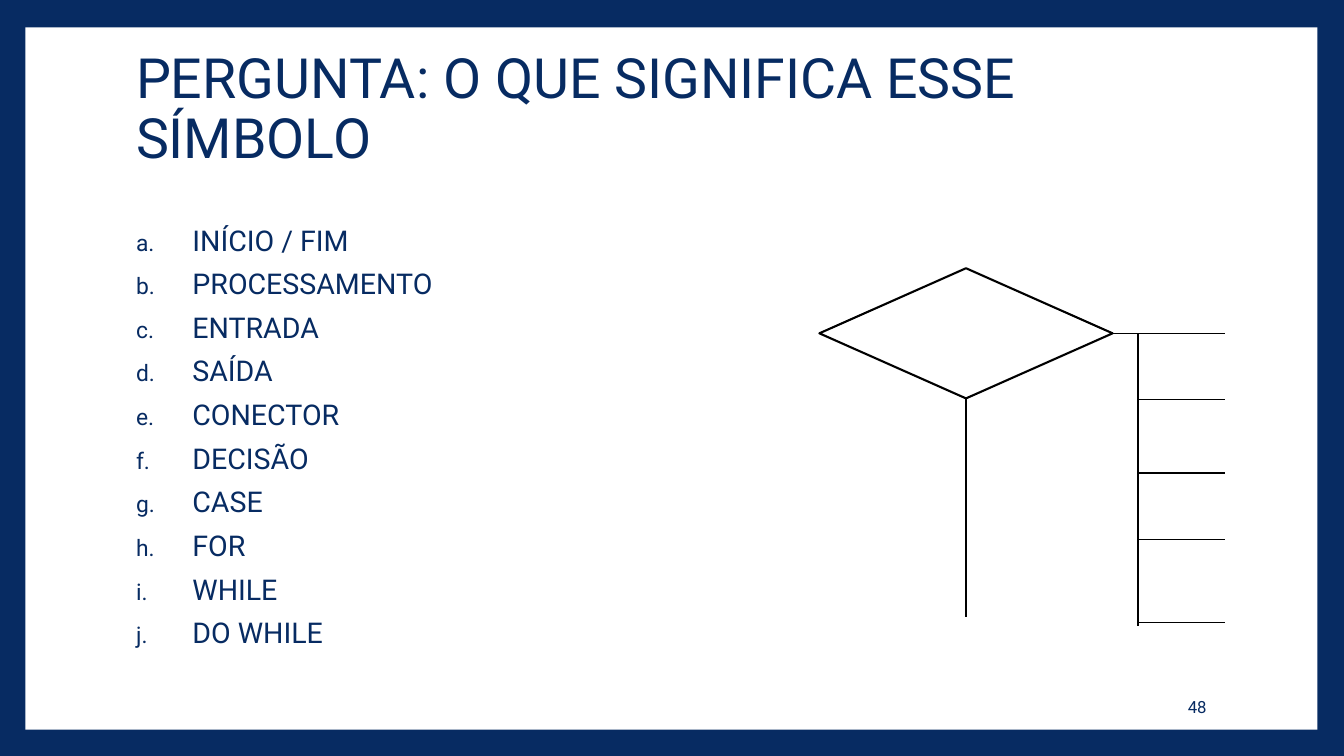
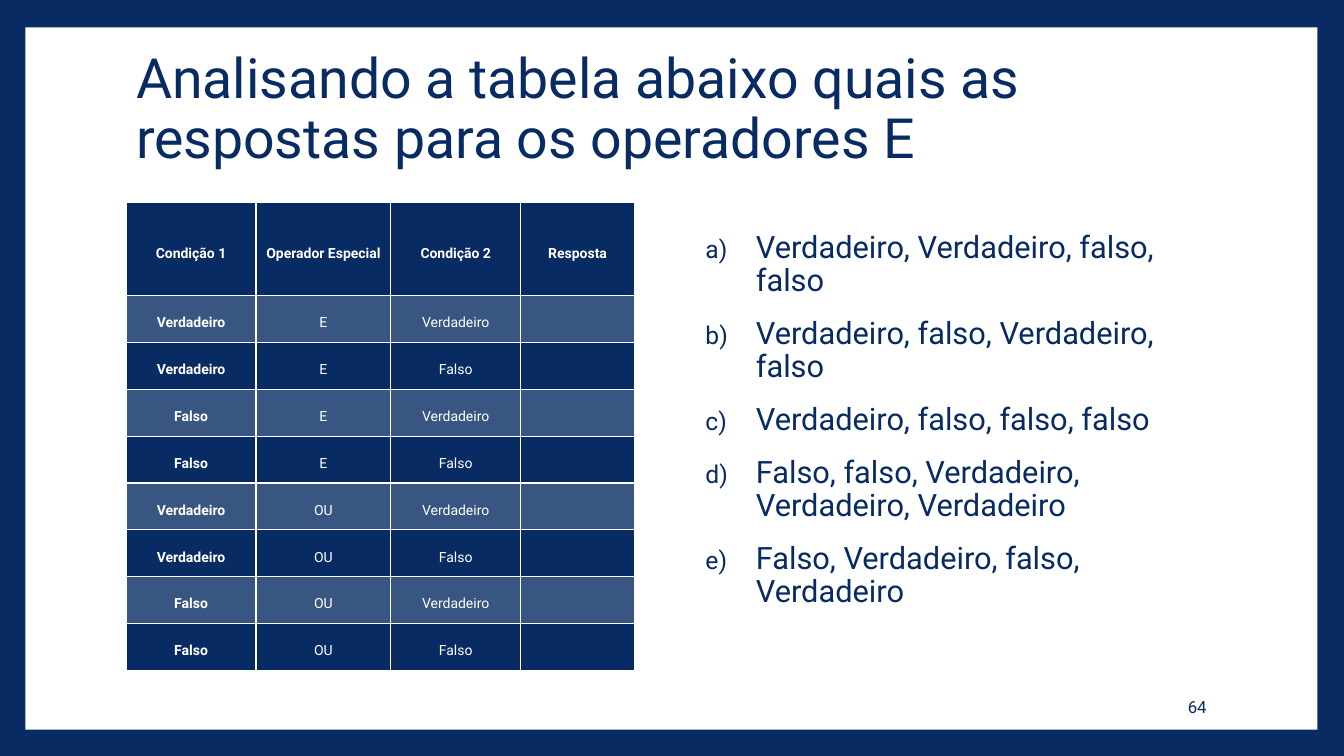
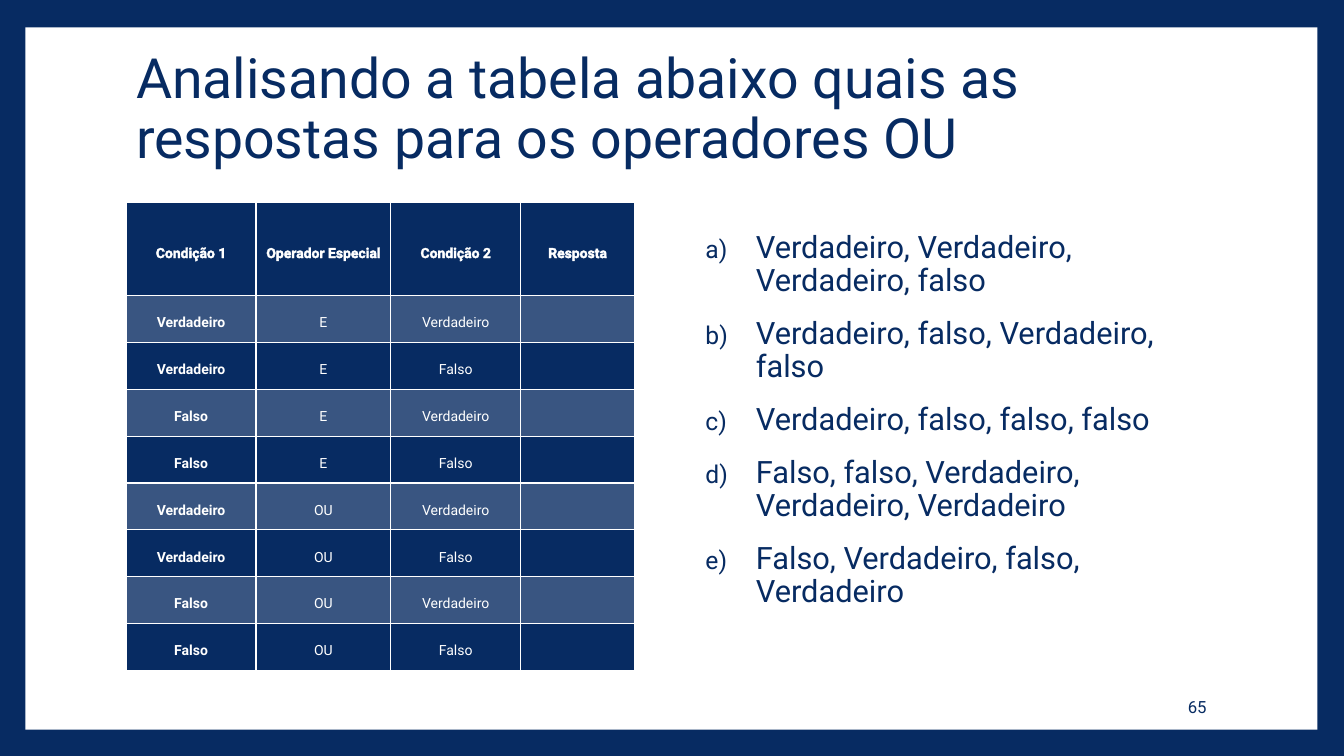
from collections import namedtuple

from lxml.etree import SubElement
from pptx import Presentation
from pptx.dml.color import RGBColor
from pptx.enum.shapes import MSO_CONNECTOR as Connector, MSO_SHAPE as Preset
from pptx.enum.text import MSO_ANCHOR as Anchor, PP_ALIGN as Align
from pptx.oxml import parse_xml
from pptx.oxml.ns import nsdecls, qn
from pptx.util import Cm, Pt

COLORS = {"navy": "072B62", "band": "395581", "white": "FFFFFF", "black": "000000"}
FONT = "Roboto"

# Boxes in centimetres
Box = namedtuple("Box", "left top width height")
PANEL = Box(0.64, 0.69, 32.56, 17.7)
TITLE = Box(3.18, 1.7, 27.43, 3.76)
LEFT_BODY = Box(3.18, 5.72, 13.21, 11.18)
RIGHT_BODY = Box(17.4, 5.72, 13.21, 11.18)
TABLE = Box(3.18, 5.11, 12.81, 11.78)
DIAGRAM = Box(20.65, 6.76, 10.23, 9.02)
PAGE_NUMBER = Box(25.91, 17.3, 4.75, 1.02)

SYMBOLS = ["INÍCIO / FIM", "PROCESSAMENTO", "ENTRADA", "SAÍDA", "CONECTOR",
           "DECISÃO", "CASE", "FOR", "WHILE", "DO WHILE"]
SYMBOL_LIST = {"numbering": "alphaLcPeriod", "size": 20.4, "spacing": 0.7,
               "indent": 1.42, "hang": 1.42}
ANSWER_LIST = {"numbering": "alphaLcParenR", "size": 22, "spacing": 0.9,
               "indent": 1.4, "hang": 1.27}
COMMON_ANSWERS = ["Verdadeiro, falso, Verdadeiro, falso",
                  "Verdadeiro, falso, falso, falso",
                  "Falso, falso, Verdadeiro, Verdadeiro, Verdadeiro",
                  "Falso, Verdadeiro, falso, Verdadeiro"]
HEADER = ["Condição 1", "Operador Especial", "Condição 2", "Resposta"]
CONDITIONS = [[first, operator, second, ""]
              for operator in ("E", "OU")
              for first in ("Verdadeiro", "Falso")
              for second in ("Verdadeiro", "Falso")]
COLUMN_WIDTHS = [3.27, 3.4, 3.27, 2.87]
HEADER_HEIGHT = 2.34


def rgb(name):
    return RGBColor.from_string(COLORS[name])


def apply(target, values):
    for name, value in values.items():
        setattr(target, name, value)


def place(box):
    return [Cm(length) for length in box]


def write(para, text, size, color="navy", bold=False, **layout):
    apply(para, layout)
    span = para.add_run()
    span.text = text
    apply(span.font, {"name": FONT, "size": Pt(size), "bold": bold})
    span.font.color.rgb = rgb(color)
    return span


def add_text_frame(page, box, **settings):
    frame = page.shapes.add_textbox(*place(box)).text_frame
    apply(frame, {"word_wrap": True, **settings})
    return frame


def add_preset(page, preset, box):
    shape = page.shapes.add_shape(preset, *place(box))
    shape.shadow.inherit = False
    shape.fill.solid()
    shape.fill.fore_color.rgb = rgb("white")
    return shape


# Frame, title and page number of every slide
def add_page(deck, title, number):
    page = deck.slides.add_slide(deck.slide_layouts[6])
    add_preset(page, Preset.RECTANGLE, PANEL).line.fill.background()
    # The deep bottom inset lifts the two title lines
    frame = add_text_frame(page, TITLE, vertical_anchor=Anchor.MIDDLE,
                           margin_bottom=Cm(1.7))
    write(frame.paragraphs[0], title, 39.6, line_spacing=0.9)
    frame = add_text_frame(page, PAGE_NUMBER, vertical_anchor=Anchor.MIDDLE)
    write(frame.paragraphs[0], str(number), 12, alignment=Align.RIGHT)
    return page


# Lettered list
def add_options(page, box, options, style):
    frame = add_text_frame(page, box)
    for index, option in enumerate(options):
        para = frame.add_paragraph() if index else frame.paragraphs[0]
        write(para, option, style["size"], line_spacing=style["spacing"],
              space_before=Pt(14))
        props = para._p.get_or_add_pPr()
        props.set("marL", str(Cm(style["indent"])))
        props.set("indent", str(-Cm(style["hang"])))
        color = SubElement(props, qn("a:buClr"))
        SubElement(color, qn("a:srgbClr"), val=COLORS["navy"])
        SubElement(props, qn("a:buSzPct"), val="80000")
        SubElement(props, qn("a:buFont"), typeface=FONT)
        SubElement(props, qn("a:buAutoNum"), type=style["numbering"])


# Flowchart symbol with one stem and several branches
def add_symbol(page, box):
    def add_line(*ends):
        origin = (box.left, box.top) * 2
        line = page.shapes.add_connector(
            Connector.STRAIGHT, *[Cm(start + end) for start, end in zip(origin, ends)])
        line.line.color.rgb = rgb("black")
        line.line.width = Pt(0.79)
        SubElement(line._element.spPr, qn("a:effectLst"))

    width, height, trunk = 7.39, 3.28, 8.03
    diamond = add_preset(page, Preset.FLOWCHART_DECISION,
                         Box(box.left, box.top, width, height))
    diamond.line.color.rgb = rgb("black")
    diamond.line.width = Pt(1.5)
    add_line(width / 2, height, width / 2, 8.79)
    add_line(width, height / 2, box.width, height / 2)
    add_line(trunk, height / 2, trunk, box.height)
    for level in (3.3, 5.16, 6.83, 8.92):
        add_line(trunk, level, box.width, level)


def line_xml(tag, points):
    return parse_xml(f'<a:{tag} {nsdecls("a")} w="{Pt(points)}"><a:solidFill>'
                     f'<a:srgbClr val="{COLORS["white"]}"/></a:solidFill></a:{tag}>')


def style_cell(cell, color):
    apply(cell, {"vertical_anchor": Anchor.MIDDLE, "margin_top": 0, "margin_bottom": 0,
                 "margin_left": Cm(0.18), "margin_right": Cm(0.18)})
    cell.fill.solid()
    cell.fill.fore_color.rgb = rgb(color)
    props = cell._tc.get_or_add_tcPr()
    for index, tag in enumerate(("lnL", "lnR", "lnT", "lnB")):
        props.insert(index, line_xml(tag, 1))


# Table of conditions
def add_conditions(page, box, outlined_header):
    rows = [HEADER, *CONDITIONS]
    table = page.shapes.add_table(len(rows), len(HEADER), *place(box)).table
    apply(table, {"first_row": False, "horz_banding": False})
    for column, width in zip(table.columns, COLUMN_WIDTHS):
        column.width = Cm(width)
    row_height = (box.height - HEADER_HEIGHT) / len(CONDITIONS)
    for r, texts in enumerate(rows):
        table.rows[r].height = Cm(row_height if r else HEADER_HEIGHT)
        for c, text in enumerate(texts):
            cell = table.cell(r, c)
            style_cell(cell, "band" if r % 2 else "navy")
            if not text:
                continue
            span = write(cell.text_frame.paragraphs[0], text, 10, "white",
                         bold=r == 0 or c == 0, alignment=Align.CENTER, line_spacing=1.5)
            if outlined_header and r == 0:
                span._r.get_or_add_rPr().insert(0, line_xml("ln", 0.75))


# Slide types
def add_symbol_question(deck, number):
    page = add_page(deck, "PERGUNTA: O QUE SIGNIFICA ESSE SÍMBOLO", number)
    add_options(page, LEFT_BODY, SYMBOLS, SYMBOL_LIST)
    add_symbol(page, DIAGRAM)


def add_operator_question(deck, number, operator, first_answer, outlined_header=False):
    title = f"Analisando a tabela abaixo quais as respostas para os operadores {operator}"
    page = add_page(deck, title, number)
    add_conditions(page, TABLE, outlined_header)
    add_options(page, RIGHT_BODY, [first_answer, *COMMON_ANSWERS], ANSWER_LIST)


deck = Presentation()
apply(deck, {"slide_width": Cm(33.87), "slide_height": Cm(19.05)})
backdrop = deck.slide_master.background.fill
backdrop.solid()
backdrop.fore_color.rgb = rgb("navy")

add_symbol_question(deck, 48)
add_operator_question(deck, 64, "E", "Verdadeiro, Verdadeiro, falso, falso")
add_operator_question(deck, 65, "OU", "Verdadeiro, Verdadeiro, Verdadeiro, falso",
                      outlined_header=True)
deck.save("out.pptx")
